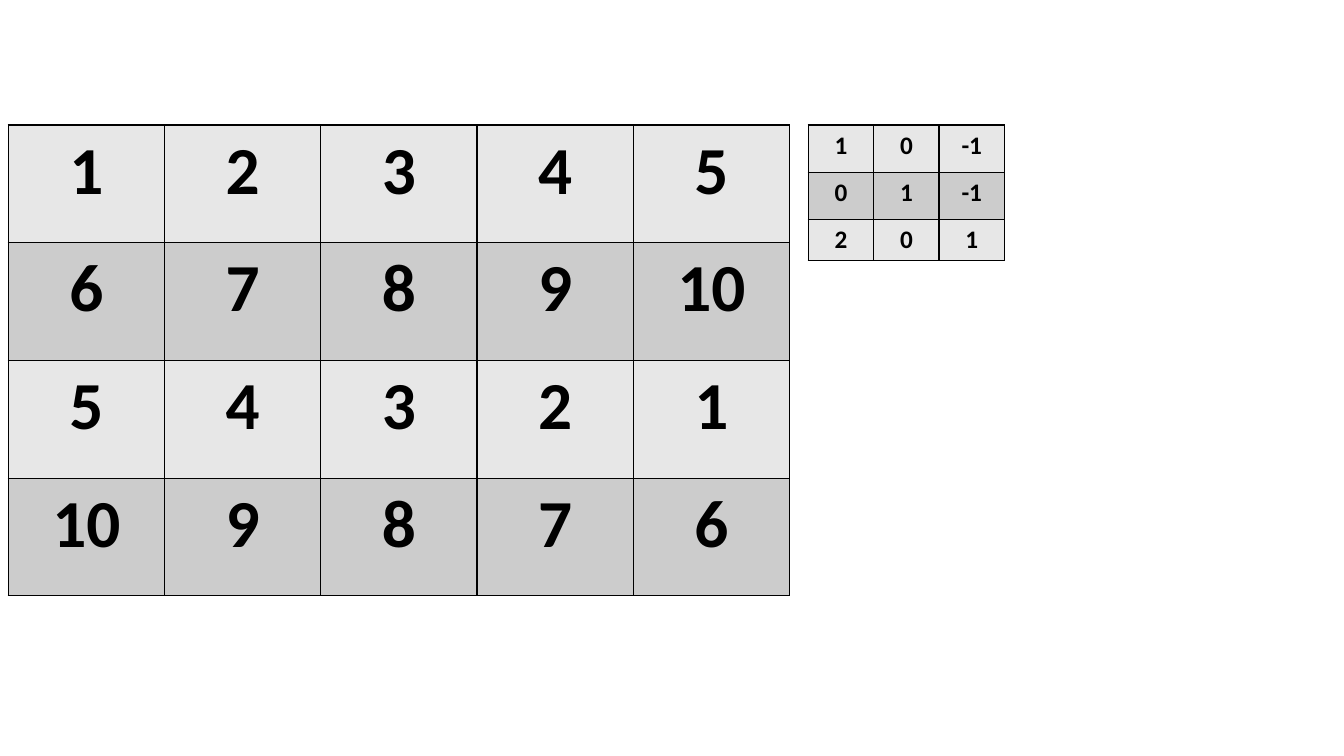
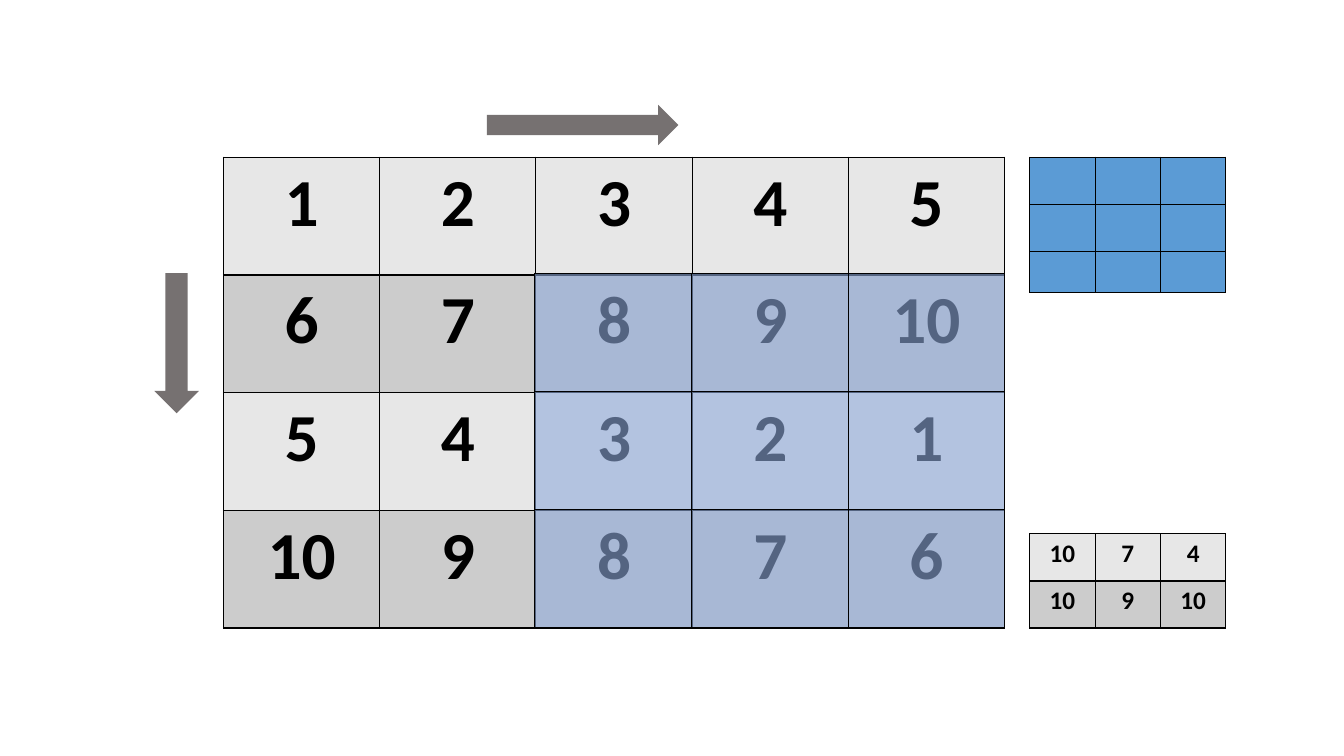
from lxml import etree
from pptx import Presentation
from pptx.dml.color import RGBColor
from pptx.enum.shapes import MSO_SHAPE
from pptx.enum.text import PP_ALIGN
from pptx.oxml import parse_xml
from pptx.oxml.ns import nsdecls, qn
from pptx.util import Pt

RIGHT, DOWN = MSO_SHAPE.RIGHT_ARROW, MSO_SHAPE.DOWN_ARROW
CENTER = PP_ALIGN.CENTER
FONT, INK, ARROW = "Calibri", "000000", "767171"
BANDS = ["E7E7E7", "CCCCCC"]
BLUE, VEIL = ["5B9BD5"], ["8FAADC"]

MATRIX = [
    [1, 2, 3, 4, 5],
    [6, 7, 8, 9, 10],
    [5, 4, 3, 2, 1],
    [10, 9, 8, 7, 6],
]
KERNEL = [[1, 0, -1], [0, 1, -1], [2, 0, 1]]
RESULT = [[10, 7, 4], [10, 9, 10]]
EMPTY = [[""] * 3] * 3

BIG_W, BIG_H = 111.6, 84.1
SMALL_W, SMALL_H = 46.7, 33.7
SMALL_ROWS = [SMALL_H, SMALL_H, 29]


def tint(fill, color, alpha=None):
    """Make a fill solid, with an opacity in percent if one is given."""
    fill.solid()
    fill.fore_color.rgb = RGBColor.from_string(color)
    if alpha is not None:
        node = fill._xPr.find(".//" + qn("a:srgbClr"))
        etree.SubElement(node, qn("a:alpha")).set("val", str(alpha * 1000))


def frame(cell):
    """Draw a thin line on all four sides of a cell."""
    props = cell._tc.get_or_add_tcPr()
    for spot, side in enumerate("LRTB"):
        props.insert(spot, parse_xml(
            f'<a:ln{side} {nsdecls("a")} w="12700"><a:solidFill>'
            f'<a:srgbClr val="{INK}"/></a:solidFill></a:ln{side}>'))


def write(cell, value, size):
    cell.text = str(value)
    para = cell.text_frame.paragraphs[0]
    para.alignment = CENTER
    for run in para.runs:
        font = run.font
        font.name, font.size, font.bold = FONT, Pt(size), True
        font.color.rgb = RGBColor.from_string(INK)


def add_grid(slide, left, top, data, width, heights, shades, size=18, alpha=None):
    """Add a bordered table whose rows take the shades in turn."""
    count = len(data[0])
    table = slide.shapes.add_table(
        len(data), count, Pt(left), Pt(top),
        Pt(width * count), Pt(sum(heights))).table
    table.first_row = table.horz_banding = False
    for col in table.columns:
        col.width = Pt(width)
    for r, values in enumerate(data):
        table.rows[r].height = Pt(heights[r])
        for c, value in enumerate(values):
            cell = table.cell(r, c)
            write(cell, value, size)
            tint(cell.fill, shades[r % len(shades)], alpha)
            frame(cell)


def add_matrix(slide, left, top):
    add_grid(slide, left, top, MATRIX, BIG_W, [BIG_H] * 4, BANDS, 48)


def add_arrow(slide, kind, left, top, width, height):
    arrow = slide.shapes.add_shape(kind, Pt(left), Pt(top), Pt(width), Pt(height))
    arrow.shadow.inherit = False
    tint(arrow.fill, ARROW)
    arrow.line.fill.background()


def add_input(deck):
    slide = deck.slides.add_slide(deck.slide_layouts[6])
    top = 89.3
    add_matrix(slide, 5.9, top)
    add_grid(slide, 577.4, top, KERNEL, SMALL_W, SMALL_ROWS, BANDS)


def add_steps(deck):
    slide = deck.slides.add_slide(deck.slide_layouts[6])
    left, top, side = 159.6, 112.3, 735.6
    base = top + 4 * BIG_H
    add_matrix(slide, left, top)
    add_grid(slide, 381.8, 195.2, EMPTY, 112, [84.4] * 3, VEIL, alpha=59)
    add_arrow(slide, RIGHT, 347.8, 74.9, 136.8, 28.8)
    add_arrow(slide, DOWN, 110.2, 195.1, 31.9, 100.1)
    add_grid(slide, side, top, EMPTY, SMALL_W, SMALL_ROWS, BLUE)
    add_grid(slide, side, base - 2 * SMALL_H, RESULT, SMALL_W, [SMALL_H] * 2, BANDS)


def main():
    deck = Presentation()
    deck.slide_width, deck.slide_height = Pt(960), Pt(540)
    add_input(deck)
    add_steps(deck)
    deck.save("out.pptx")


if __name__ == "__main__":
    main()
